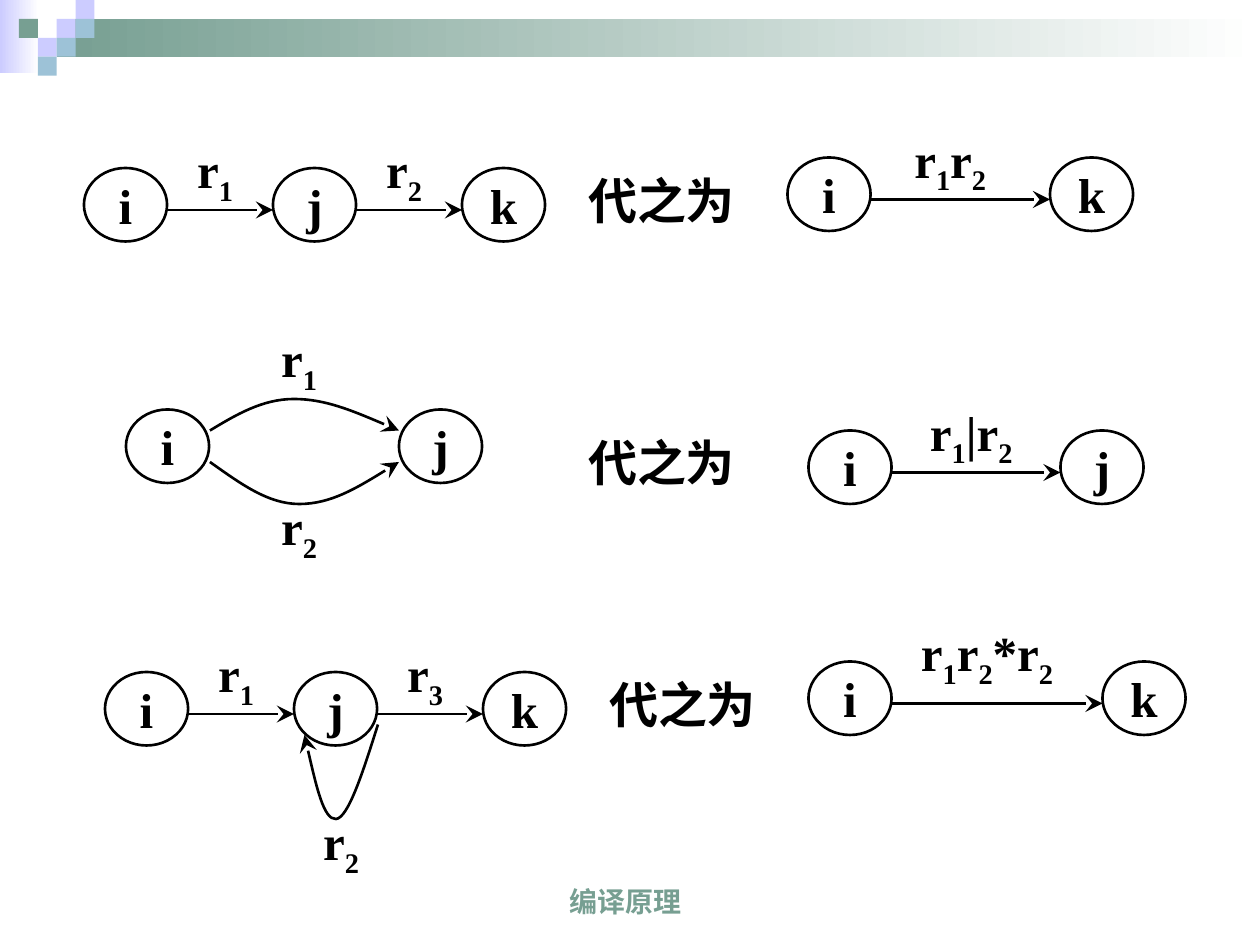
from itertools import pairwise

from lxml.etree import SubElement
from pptx import Presentation
from pptx.dml.color import RGBColor
from pptx.enum.shapes import MSO_CONNECTOR, MSO_SHAPE
from pptx.enum.text import MSO_ANCHOR, PP_ALIGN
from pptx.oxml.ns import qn
from pptx.util import Pt

COLORS = {
    "ink": "000000",
    "white": "FFFFFF",
    "green": "779F92",
    "lilac": "CCCCFF",
    "blue": "9DC2D7",
}
NODE_WIDTH, NODE_HEIGHT = 47.5, 42
ARROW_START, ARROW_DROP = 48, 24  # offsets from a node's left and top
LABEL_WIDTH, LABEL_HEIGHT = 66, 42
SQUARE = 10.8


def color(name):
    return RGBColor.from_string(COLORS[name])


def write_text(shape, text, size=28, font="Times New Roman", fill="ink",
               anchor=MSO_ANCHOR.MIDDLE, wrap=False):
    """Write centred bold text; digits become subscripts."""
    frame = shape.text_frame
    frame.word_wrap = wrap
    frame.vertical_anchor = anchor
    frame.margin_left = frame.margin_right = Pt(0)
    paragraph = frame.paragraphs[0]
    paragraph.alignment = PP_ALIGN.CENTER
    pieces = []
    for character in text:
        if pieces and not character.isdigit() and not pieces[-1].isdigit():
            pieces[-1] += character
        else:
            pieces.append(character)
    for piece in pieces:
        run = paragraph.add_run()
        run.text = piece
        run.font.size = Pt(size)
        run.font.bold = True
        run.font.name = font
        run.font.color.rgb = color(fill)
        if piece.isdigit():
            run.font._element.set("baseline", "-25000")


def add_text(slide, left, top, width, height, text, **text_format):
    box = slide.shapes.add_textbox(Pt(left), Pt(top), Pt(width), Pt(height))
    write_text(box, text, **text_format)


def add_block(slide, left, top, width, height, fill, fade_to=None):
    block = slide.shapes.add_shape(
        MSO_SHAPE.RECTANGLE, Pt(left), Pt(top), Pt(width), Pt(height))
    block.shadow.inherit = False
    block.line.fill.background()
    if fade_to:
        block.fill.gradient()
        block.fill.gradient_angle = 0
        for stop, name in zip(block.fill.gradient_stops, (fill, fade_to)):
            stop.color.rgb = color(name)
    else:
        block.fill.solid()
        block.fill.fore_color.rgb = color(fill)


def style_line(shape, arrow=False):
    shape.line.color.rgb = color("ink")
    shape.line.width = Pt(1.5)
    if arrow:
        line = shape.line._get_or_add_ln()
        SubElement(line, qn("a:tailEnd"), type="stealth", w="lg", len="lg")


def add_node(slide, left, top, name):
    node = slide.shapes.add_shape(
        MSO_SHAPE.OVAL, Pt(left), Pt(top), Pt(NODE_WIDTH), Pt(NODE_HEIGHT))
    node.shadow.inherit = False
    node.fill.background()
    style_line(node)
    write_text(node, name)


def add_arrow(slide, start, end, height):
    arrow = slide.shapes.add_connector(
        MSO_CONNECTOR.STRAIGHT, Pt(start), Pt(height), Pt(end), Pt(height))
    style_line(arrow, arrow=True)
    SubElement(arrow._element.spPr, qn("a:effectLst"))


def add_curve(slide, start, *points):
    """Draw an arrow of Bezier segments, three points to a segment."""
    builder = slide.shapes.build_freeform(Pt(start[0]), Pt(start[1]))
    builder.add_line_segments([(Pt(x), Pt(y)) for x, y in points], close=False)
    curve = builder.convert_to_shape()
    curve.shadow.inherit = False
    curve.fill.background()
    style_line(curve, arrow=True)
    # Turn each three straight segments into one cubic segment
    segments = list(curve._element.iter(qn("a:lnTo")))
    for first in range(0, len(segments), 3):
        outline = segments[first].getparent()
        cubic = SubElement(outline, qn("a:cubicBezTo"))
        for segment in segments[first:first + 3]:
            cubic.append(segment[0])
            outline.remove(segment)


def add_chain(slide, lefts, top, names, labels, label_shift=42,
              label_rise=18, label_width=LABEL_WIDTH):
    """Draw nodes in a row with a labelled arrow between neighbours."""
    for left, name in zip(lefts, names):
        add_node(slide, left, top, name)
    for (left, following), label in zip(pairwise(lefts), labels):
        add_arrow(slide, left + ARROW_START, following, top + ARROW_DROP)
        add_text(slide, left + label_shift, top - label_rise,
                 label_width, LABEL_HEIGHT, label)


def add_banner(slide):
    add_block(slide, 0, 0, 22.3, 42, "lilac", fade_to="white")
    add_block(slide, 32.4, 10.8, 687.6, 21.6, "green", fade_to="white")
    squares = {
        "lilac": [(3, 1), (4, 0), (2, 2)],
        "blue": [(4, 1), (3, 2), (2, 3)],
        "green": [(1, 1)],
    }
    for fill, cells in squares.items():
        for column, row in cells:
            add_block(slide, column * SQUARE, row * SQUARE,
                      SQUARE, SQUARE, fill)


def main():
    presentation = Presentation()
    presentation.slide_width, presentation.slide_height = Pt(720), Pt(540)
    slide = presentation.slides.add_slide(presentation.slide_layouts[6])

    add_banner(slide)
    add_text(slide, 230, 492, 255, 36, "编译原理", size=16, font="Arial",
             fill="green", anchor=MSO_ANCHOR.BOTTOM, wrap=True)
    for left, top in [(333, 90), (333, 240), (345, 378)]:
        add_text(slide, left, top, 90, 48, "代之为")

    # Concatenation
    add_chain(slide, [48, 156, 264], 96, "ijk", ["r1", "r2"])
    add_chain(slide, [450, 600], 90, "ik", ["r1r2"], label_shift=60)

    # Alternation
    add_node(slide, 72, 234, "i")
    add_node(slide, 228, 234, "j")
    add_curve(slide, (120, 246), (135, 237), (150, 228), (168, 228),
              (186, 228), (207, 237), (228, 246))
    add_curve(slide, (120, 264), (137, 276), (153, 288), (171, 288),
              (189, 288), (209, 276), (228, 264))
    for top, label in [(186, "r1"), (282, "r2")]:
        add_text(slide, 138, top, LABEL_WIDTH, LABEL_HEIGHT, label)
    add_chain(slide, [462, 606], 246, "ij", ["r1|r2"], label_shift=60)

    # Repetition
    add_chain(slide, [60, 168, 276], 384, "ijk", ["r1", "r3"])
    add_curve(slide, (216, 414), (207.5, 441), (199, 467.5), (192, 468),
              (185, 468.5), (179.5, 444), (174, 420))
    add_text(slide, 162, 462, LABEL_WIDTH, LABEL_HEIGHT, "r2")
    add_chain(slide, [462, 630], 378, "ik", ["r1r2*r2"], label_shift=60,
              label_rise=24, label_width=84)

    presentation.save("out.pptx")


if __name__ == "__main__":
    main()
